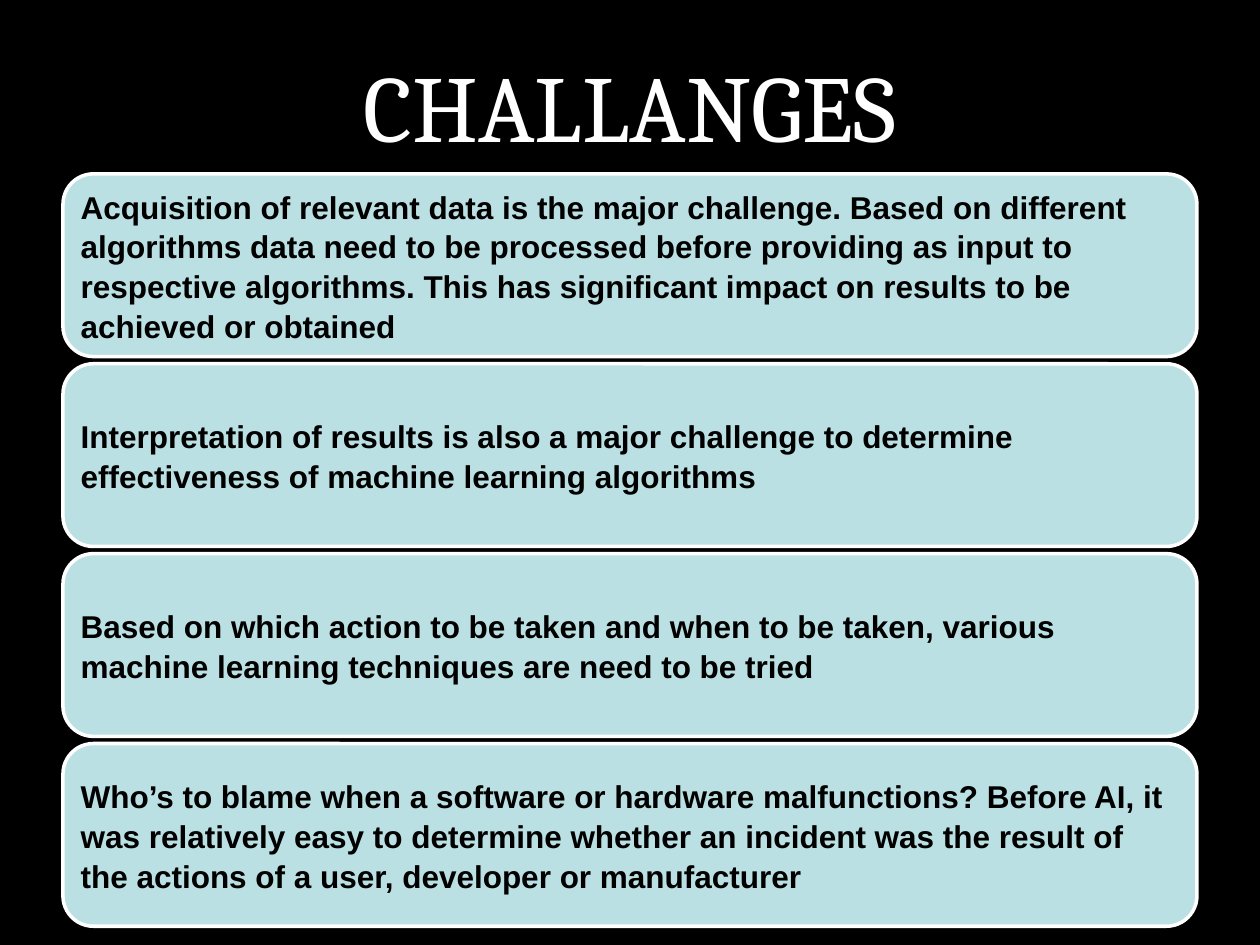
from pptx import Presentation
from pptx.dml.color import RGBColor
from pptx.enum.shapes import MSO_SHAPE
from pptx.enum.text import MSO_ANCHOR, PP_ALIGN
from pptx.util import Inches, Pt

RECT, ROUNDED = MSO_SHAPE.RECTANGLE, MSO_SHAPE.ROUNDED_RECTANGLE
TOP, MIDDLE = MSO_ANCHOR.TOP, MSO_ANCHOR.MIDDLE
LEFT, CENTER = PP_ALIGN.LEFT, PP_ALIGN.CENTER

TITLE = "CHALLANGES"
CHALLENGES = [
    "Acquisition of relevant data is the major challenge. Based on different algorithms data need to be processed before providing as input to respective algorithms. This has significant impact on results to be achieved or obtained",
    "Interpretation of results is also a major challenge to determine effectiveness of machine learning algorithms",
    "Based on which action to be taken and when to be taken, various machine learning techniques are need to be tried",
    "Who’s to blame when a software or hardware malfunctions? Before AI, it was relatively easy to determine whether an incident was the result of the actions of a user, developer or manufacturer",
]
THEME = {
    "black": RGBColor.from_string("000000"),
    "white": RGBColor.from_string("FFFFFF"),
    "card": RGBColor.from_string("BBE0E3"),
    "title_font": "Cambria",
    "body_font": "Arial",
    "title_size": Pt(54),
    "body_size": Pt(18),
    "line": Pt(2),
}
CARD_LEFT, CARD_TOP, CARD_W, CARD_H = 0.5, 1.38, 9, 1.45
CARD_STEP = 1.507


def add_box(s, kind, box, fill, line):
    sp = s.shapes.add_shape(kind, *map(Inches, box))
    sp.shadow.inherit = False
    sp.fill.solid()
    sp.fill.fore_color.rgb = THEME[fill]
    sp.line.color.rgb = THEME[line]
    sp.line.width = THEME["line"]
    return sp


def set_text(sp, text, role, color, align, anchor, bold):
    tf = sp.text_frame
    tf.text = text
    tf.word_wrap = True
    tf.vertical_anchor = anchor
    p = tf.paragraphs[0]
    p.alignment = align
    font = p.runs[0].font
    font.name = THEME[role + "_font"]
    font.size = THEME[role + "_size"]
    font.color.rgb = THEME[color]
    font.bold = bold
    return tf


def main():
    prs = Presentation()
    prs.slide_width, prs.slide_height = Inches(10), Inches(7.5)
    s = prs.slides.add_slide(prs.slide_layouts[5])

    backdrop = add_box(s, RECT, (0, 0, 10, 7.5), "black", "black")
    title = s.shapes.title
    title.element.addprevious(backdrop.element)
    title.left, title.top = Inches(0.5), Inches(0.3)
    title.width, title.height = Inches(9), Inches(1.25)
    tf = set_text(title, TITLE, "title", "white", CENTER, TOP, False)
    tf.margin_top = Inches(0.08)

    for i, text in enumerate(CHALLENGES):
        box = (CARD_LEFT, CARD_TOP + i * CARD_STEP, CARD_W, CARD_H)
        card = add_box(s, ROUNDED, box, "card", "white")
        tf = set_text(card, text, "body", "black", LEFT, MIDDLE, True)
        tf.margin_left = tf.margin_right = Inches(0.07)
        tf.margin_top = tf.margin_bottom = Inches(0.07)
        tf.paragraphs[0].line_spacing = 1.05

    prs.save("out.pptx")


if __name__ == "__main__":
    main()
